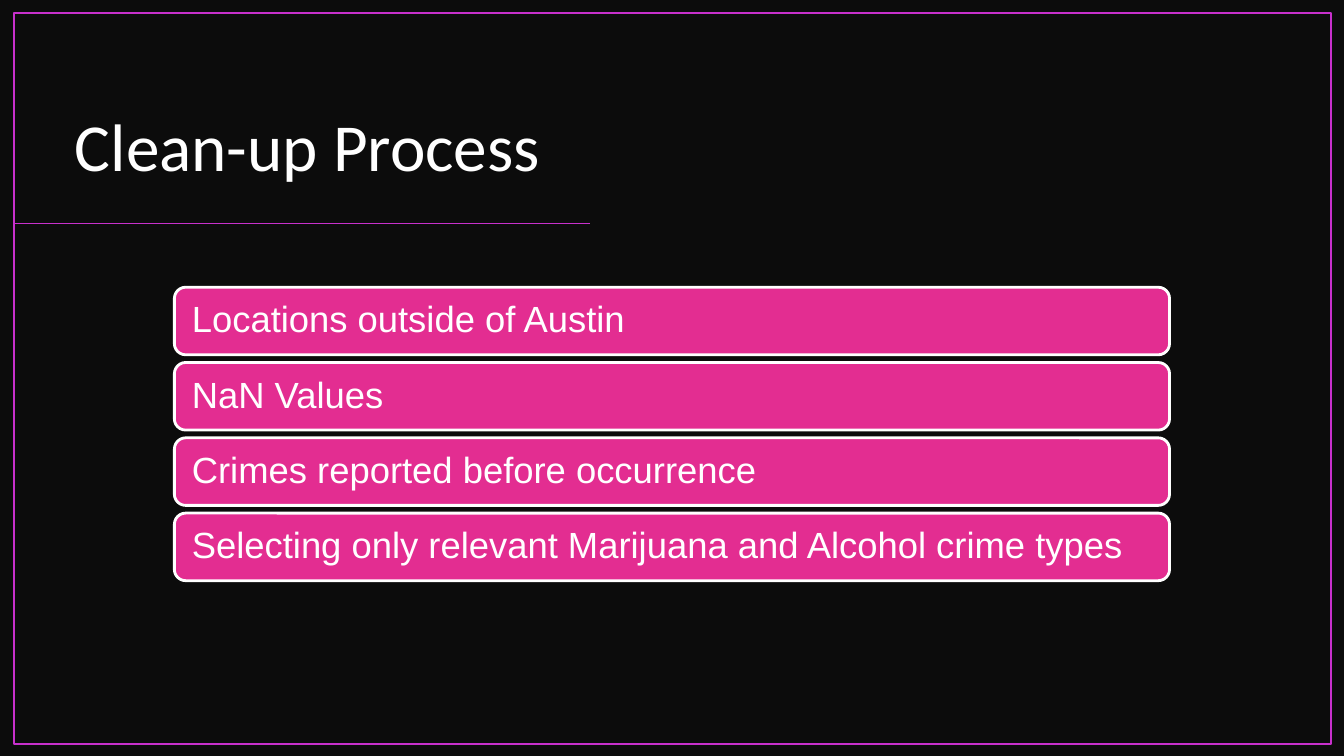
from pptx import Presentation
from pptx.dml.color import RGBColor
from pptx.enum.shapes import MSO_CONNECTOR, MSO_SHAPE
from pptx.enum.text import MSO_ANCHOR, MSO_AUTO_SIZE, PP_ALIGN
from pptx.oxml.ns import qn
from pptx.util import Inches, Pt
from lxml import etree

RECT = MSO_SHAPE.RECTANGLE
ROUND = MSO_SHAPE.ROUNDED_RECTANGLE
LINE = MSO_CONNECTOR.STRAIGHT
LEFT, RIGHT = PP_ALIGN.LEFT, PP_ALIGN.RIGHT
MIDDLE, BOTTOM = MSO_ANCHOR.MIDDLE, MSO_ANCHOR.BOTTOM
NO_FIT = MSO_AUTO_SIZE.NONE

DARK, WHITE, PINK, PURPLE = "0C0C0C", "FFFFFF", "E32D91", "C830CC"
STEPS = [
    "Locations outside of Austin",
    "NaN Values",
    "Crimes reported before occurrence",
    "Selecting only relevant Marijuana and Alcohol crime types",
]


def color(code):
    return RGBColor.from_string(code)


def write(shape, text, size, font, align=LEFT, anchor=MIDDLE, pad=(0.1, 0.05)):
    frame = shape.text_frame
    frame.auto_size = NO_FIT
    frame.word_wrap = True
    frame.vertical_anchor = anchor
    frame.margin_left = frame.margin_right = Inches(pad[0])
    frame.margin_top = frame.margin_bottom = Inches(pad[1])
    para = frame.paragraphs[0]
    para.alignment = align
    para.line_spacing = 0.9
    run = para.add_run()
    run.text = text
    run.font.size = Pt(size)
    run.font.name = font
    run.font.color.rgb = color(WHITE)


def box(slide, kind, place, fill=None, line=None, width=1):
    shape = slide.shapes.add_shape(kind, *map(Inches, place))
    shape.shadow.inherit = False
    if fill:
        shape.fill.solid()
        shape.fill.fore_color.rgb = color(fill)
    else:
        shape.fill.background()
    if line:
        shape.line.color.rgb = color(line)
        shape.line.width = Pt(width)
    else:
        shape.line.fill.background()
    return shape


def rule(slide, start, end):
    line = slide.shapes.add_connector(LINE, *map(Inches, start + end))
    line.line.color.rgb = color(PURPLE)
    line.line.width = Pt(1)
    etree.SubElement(line._element.spPr, qn("a:effectLst"))


def head(slide, text):
    title = slide.shapes.title
    title.left, title.top = Inches(0.53), Inches(0.45)
    title.width, title.height = Inches(4.93), Inches(1.45)
    write(title, text, 48, "Calibri", align=RIGHT, anchor=BOTTOM)


def steps(slide):
    for row, text in enumerate(STEPS):
        place = (1.73, 2.85 + row * 0.747, 9.87, 0.67)
        bar = box(slide, ROUND, place, PINK, WHITE, 2)
        write(bar, text, 26, "Arial", pad=(0.14, 0.11))


def main():
    deck = Presentation()
    deck.slide_width, deck.slide_height = Inches(13.33), Inches(7.5)
    slide = deck.slides.add_slide(deck.slide_layouts[5])
    back = box(slide, RECT, (0, 0, 13.33, 7.5), DARK)
    slide.shapes._spTree.insert(2, back._element)
    head(slide, "Clean-up Process")
    rule(slide, (5.85, 2.22), (0.14, 2.22))
    box(slide, RECT, (0.14, 0.13, 13.06, 7.25), line=PURPLE)
    steps(slide)
    deck.save("out.pptx")


if __name__ == "__main__":
    main()
